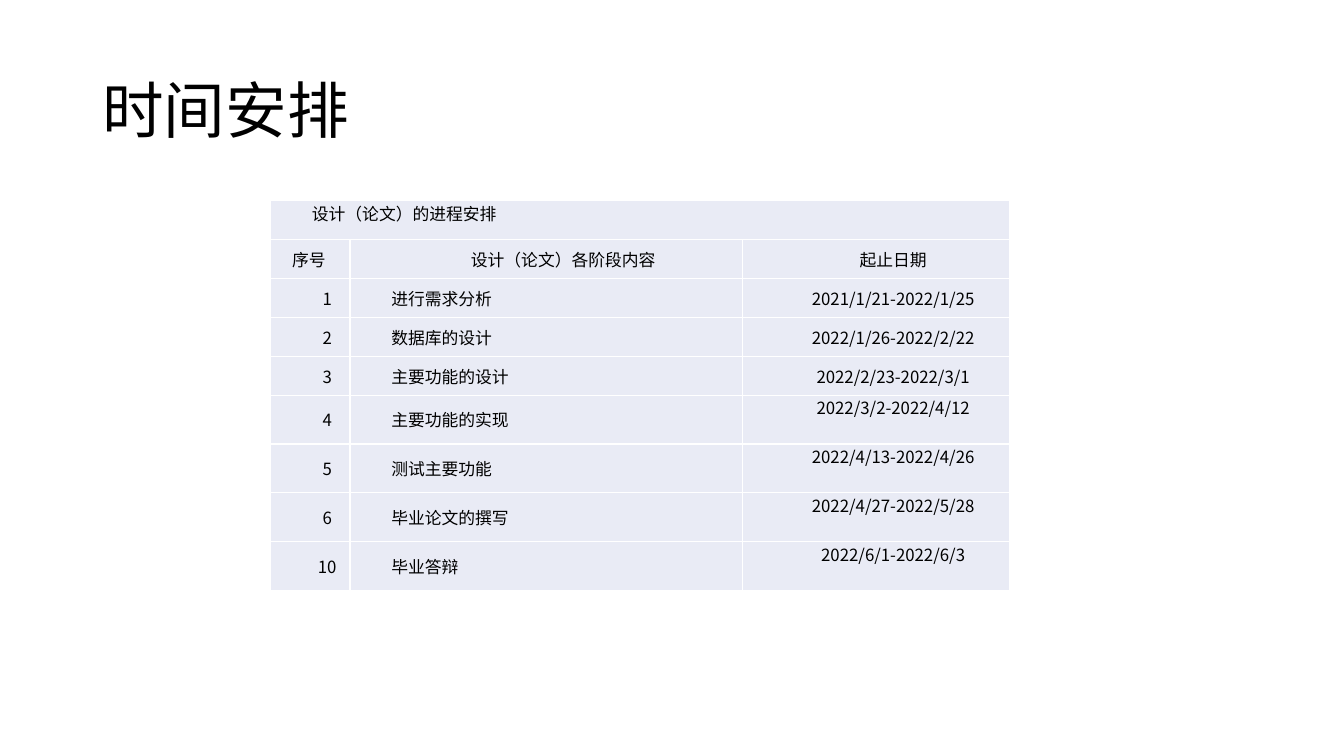
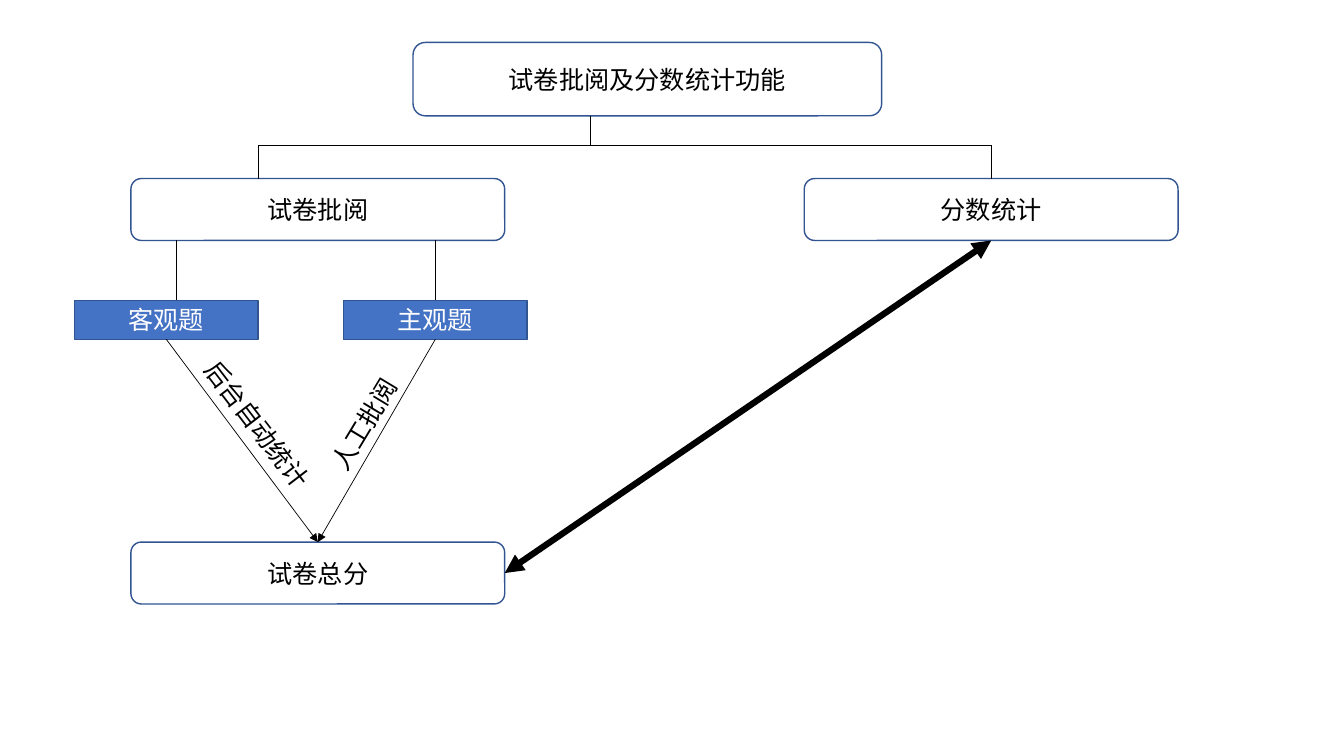
from pptx import Presentation
from pptx.dml.color import RGBColor
from pptx.enum.shapes import MSO_CONNECTOR, MSO_SHAPE
from pptx.enum.text import MSO_ANCHOR, MSO_AUTO_SIZE, PP_ALIGN
from pptx.oxml.ns import qn
from pptx.util import Cm, Pt
from lxml import etree

LEFT, CENTER, JUSTIFY = PP_ALIGN.LEFT, PP_ALIGN.CENTER, PP_ALIGN.JUSTIFY
TOP_ANCHOR, MIDDLE = MSO_ANCHOR.TOP, MSO_ANCHOR.MIDDLE
ROUND, RECT = MSO_SHAPE.ROUNDED_RECTANGLE, MSO_SHAPE.RECTANGLE
STRAIGHT = MSO_CONNECTOR.STRAIGHT
TOP, BOTTOM, RIGHT = 0, 2, 3

FONT = "Noto Sans CJK SC"
COLORS = {"text": "000000", "white": "FFFFFF", "cell": "E9EBF5",
          "box": "4472C4", "outline": "325491"}

# Content: schedule
TITLE = "时间安排"
CAPTION = "设计（论文）的进程安排"
HEADERS = ["序号", "设计（论文）各阶段内容", "起止日期"]
STAGES = [
    ("1", "进行需求分析", "2021/1/21-2022/1/25"),
    ("2", "数据库的设计", "2022/1/26-2022/2/22"),
    ("3", "主要功能的设计", "2022/2/23-2022/3/1"),
    ("4", "主要功能的实现", "2022/3/2-2022/4/12"),
    ("5", "测试主要功能", "2022/4/13-2022/4/26"),
    ("6", "毕业论文的撰写", "2022/4/27-2022/5/28"),
    ("10", "毕业答辩", "2022/6/1-2022/6/3"),
]
COL_WIDTHS = [2.0, 9.9, 6.73]
ROW_HEIGHTS = [0.98] * 5 + [1.23] * 4
FIRST_TALL_ROW = 5
INDENT, NARROW_INDENT = 0.85, 0.35

# Content: grading flow, sizes in cm
BOX_STYLES = {  # shape, width, height, fill, text colour
    "root": (ROUND, 11.81, 1.85, None, "text"),
    "step": (ROUND, 9.42, 1.56, None, "text"),
    "leaf": (RECT, 4.62, 0.98, "box", "white"),
}
BOXES = {  # style, left, top, text
    "root": ("root", 10.41, 1.07, "试卷批阅及分数统计功能"),
    "grading": ("step", 3.3, 4.5, "试卷批阅"),
    "statistics": ("step", 20.27, 4.5, "分数统计"),
    "objective": ("leaf", 1.88, 7.57, "客观题"),
    "subjective": ("leaf", 8.66, 7.57, "主观题"),
    "total": ("step", 3.3, 13.66, "试卷总分"),
}
LABELS = [  # left, top, width, rotation, text
    (4.32, 10.21, 4.37, 52.6, "后台自动统计"),
    (7.65, 10.16, 3.07, 301.1, "人工批阅"),
]


def center_x(name):
    style, left = BOXES[name][:2]
    return left + BOX_STYLES[style][1] / 2


def bottom_y(name):
    style, _, top, _ = BOXES[name]
    return top + BOX_STYLES[style][2]


BUS_Y, TRUNK_X, BRANCH_X, DROP_X = 3.66, 14.88, 6.5, 4.45
LINES = [  # from, to, width, arrowheads; ends are (box, side) or (x, y)
    (("objective", BOTTOM), ("total", TOP), 0.5, ["tailEnd"]),
    (("subjective", BOTTOM), ("total", TOP), 0.5, ["tailEnd"]),
    (("total", RIGHT), ("statistics", BOTTOM), 4.5, ["headEnd", "tailEnd"]),
    ((BRANCH_X, BUS_Y), (center_x("statistics"), BUS_Y), 0.5, []),
    ((TRUNK_X, bottom_y("root")), (TRUNK_X, BUS_Y), 0.5, []),
    ((BRANCH_X, BUS_Y), (BRANCH_X, BOXES["grading"][2]), 0.5, []),
    ((center_x("statistics"), BUS_Y), ("statistics", TOP), 0.5, []),
    ((DROP_X, bottom_y("grading")), (DROP_X, BOXES["objective"][2]), 0.5, []),
    ((center_x("subjective"), bottom_y("grading")), ("subjective", TOP), 0.5, []),
]


def rgb(key):
    return RGBColor.from_string(COLORS[key])


def add_text(tf, text, size, color="text", align=LEFT):
    p = tf.paragraphs[0]
    p.alignment = align
    r = p.add_run()
    r.text = text
    r.font.size, r.font.name = Pt(size), FONT
    r.font.color.rgb = rgb(color)
    etree.SubElement(r.font._element, qn("a:ea"), typeface=FONT)
    return p


def add_title(s, text):
    tf = s.shapes.add_textbox(Cm(2.33), Cm(1.01), Cm(29.21), Cm(3.68)).text_frame
    tf.word_wrap = True
    tf.vertical_anchor = MIDDLE
    add_text(tf, text, 44).line_spacing = 0.9


def style_cell(cell):
    cell.margin_left = cell.margin_right = Cm(0.19)
    cell.margin_top = cell.margin_bottom = 0
    tc_pr = cell._tc.get_or_add_tcPr()
    for side in ("lnL", "lnR", "lnT", "lnB"):
        ln = etree.SubElement(tc_pr, qn(f"a:{side}"), w=str(Pt(1)))
        fill = etree.SubElement(ln, qn("a:solidFill"))
        etree.SubElement(fill, qn("a:srgbClr"), val=COLORS["white"])
    cell.fill.solid()
    cell.fill.fore_color.rgb = rgb("cell")


def fill_cell(cell, text, align, anchor=MIDDLE, indent=INDENT):
    cell.vertical_anchor = anchor
    p = add_text(cell.text_frame, text, 12, align=align)
    p._p.get_or_add_pPr().set("indent", str(Cm(indent)))


def add_schedule(s):
    table = s.shapes.add_table(len(ROW_HEIGHTS), len(COL_WIDTHS), Cm(6.82), Cm(5.06),
                               Cm(sum(COL_WIDTHS)), Cm(sum(ROW_HEIGHTS))).table
    table.first_row = table.horz_banding = False
    for col, width in zip(table.columns, COL_WIDTHS):
        col.width = Cm(width)
    for row, height in zip(table.rows, ROW_HEIGHTS):
        row.height = Cm(height)
    for cell in table.iter_cells():
        style_cell(cell)

    # Caption and header rows
    table.cell(0, 0).merge(table.cell(0, 2))
    fill_cell(table.cell(0, 0), CAPTION, JUSTIFY, TOP_ANCHOR)
    fill_cell(table.cell(1, 0), HEADERS[0], JUSTIFY, indent=NARROW_INDENT)
    for c in (1, 2):
        fill_cell(table.cell(1, c), HEADERS[c], CENTER)

    # Stage rows: dates sit at the top of the tall ones
    for i, (number, stage, dates) in enumerate(STAGES, start=2):
        fill_cell(table.cell(i, 0), number, CENTER)
        fill_cell(table.cell(i, 1), stage, LEFT)
        fill_cell(table.cell(i, 2), dates, CENTER,
                  TOP_ANCHOR if i >= FIRST_TALL_ROW else MIDDLE)


def add_box(s, style, left, top, text):
    kind, width, height, fill, color = BOX_STYLES[style]
    sp = s.shapes.add_shape(kind, Cm(left), Cm(top), Cm(width), Cm(height))
    sp.shadow.inherit = False
    if fill:
        sp.fill.solid()
        sp.fill.fore_color.rgb = rgb(fill)
    else:
        sp.fill.background()
    sp.line.color.rgb = rgb("outline")
    sp.line.width = Pt(1)
    sp.text_frame.vertical_anchor = MIDDLE
    add_text(sp.text_frame, text, 18, color, CENTER)
    return sp


def add_label(s, left, top, width, rotation, text):
    sp = s.shapes.add_textbox(Cm(left), Cm(top), Cm(width), Cm(1.02))
    sp.rotation = rotation
    sp.text_frame.word_wrap = False
    sp.text_frame.auto_size = MSO_AUTO_SIZE.SHAPE_TO_FIT_TEXT
    add_text(sp.text_frame, text, 18)


def add_line(s, boxes, start, end, width, heads):
    points = [(0, 0) if pt[0] in boxes else pt for pt in (start, end)]
    cn = s.shapes.add_connector(STRAIGHT, *(Cm(v) for pt in points for v in pt))
    if start[0] in boxes:
        cn.begin_connect(boxes[start[0]], start[1])
    if end[0] in boxes:
        cn.end_connect(boxes[end[0]], end[1])
    cn.line.color.rgb = rgb("text")
    cn.line.width = Pt(width)
    for head in heads:
        etree.SubElement(cn.line._get_or_add_ln(), qn(f"a:{head}"), type="triangle")
    etree.SubElement(cn._element.spPr, qn("a:effectLst"))


def main():
    prs = Presentation()
    prs.slide_width, prs.slide_height = Cm(33.87), Cm(19.05)
    blank = prs.slide_layouts[6]

    # Schedule
    s = prs.slides.add_slide(blank)
    add_title(s, TITLE)
    add_schedule(s)

    # Grading flow
    s = prs.slides.add_slide(blank)
    boxes = {name: add_box(s, *box) for name, box in BOXES.items()}
    for label in LABELS:
        add_label(s, *label)
    for line in LINES:
        add_line(s, boxes, *line)

    prs.save("out.pptx")


if __name__ == "__main__":
    main()
